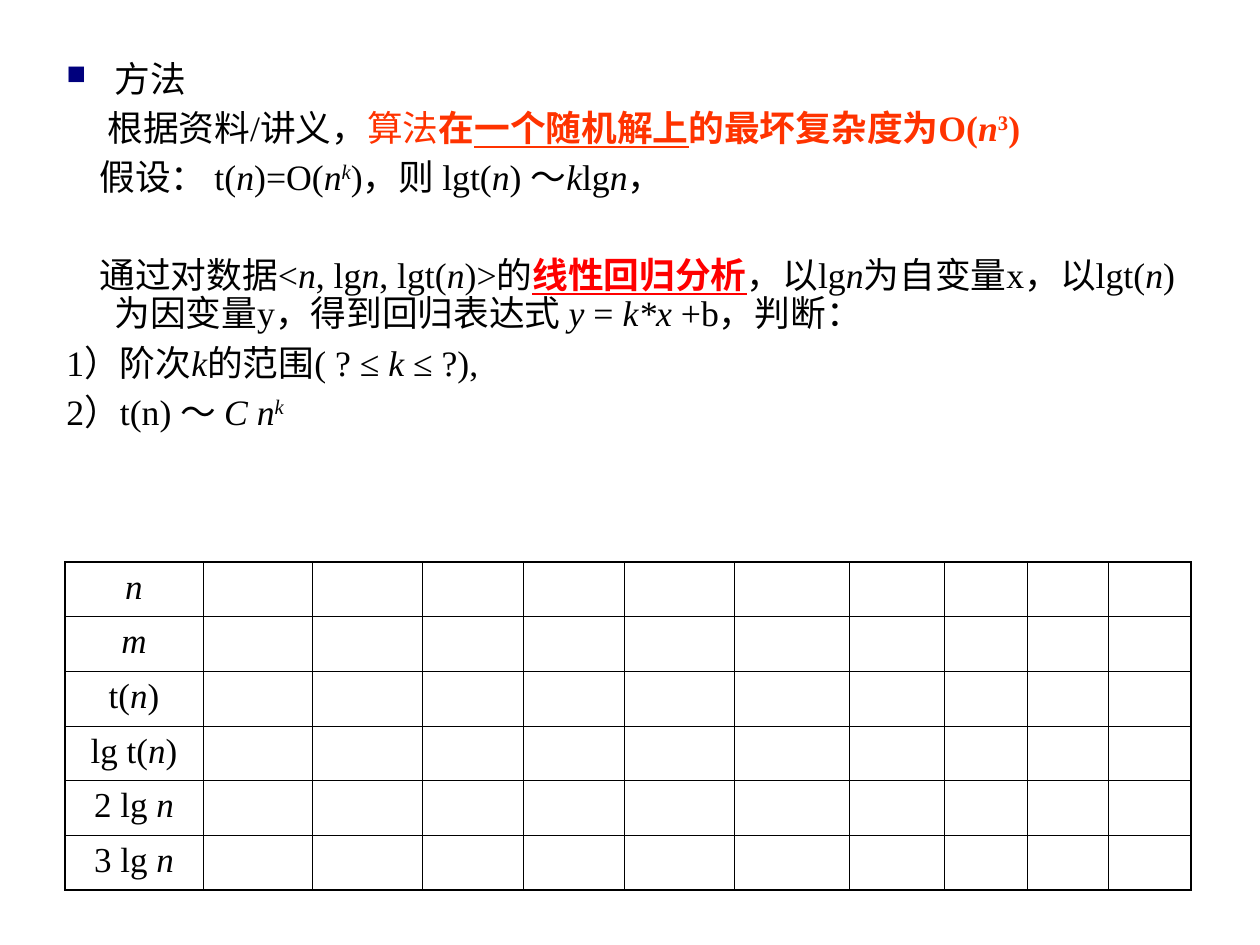
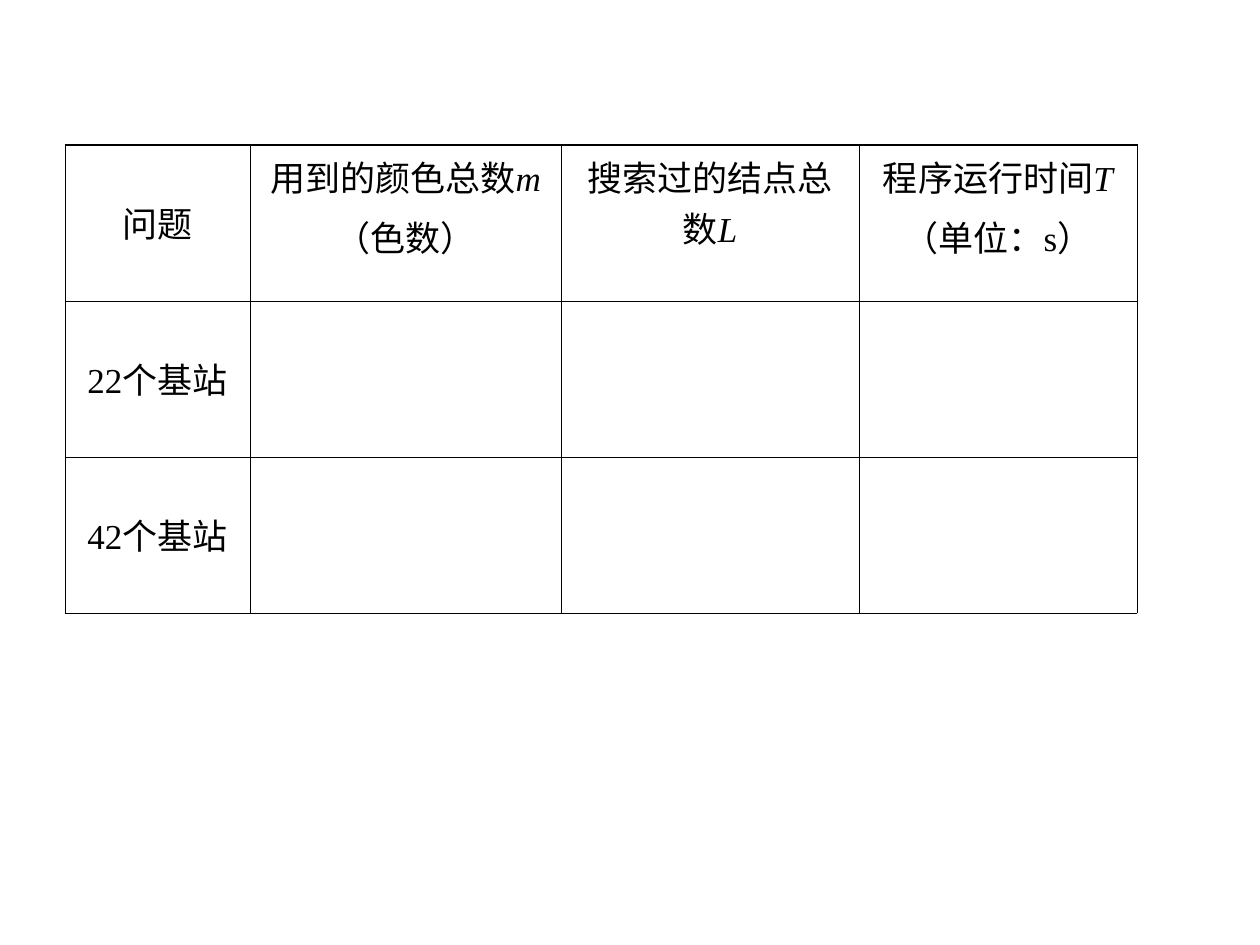
"""Build two slides: a regression method with its data table, and a results table."""
from lxml import etree
from pptx import Presentation
from pptx import util as u
from pptx.dml.color import RGBColor
from pptx.enum import text
from pptx.oxml.ns import qn

FONT = "Times New Roman"
BLACK, ORANGE, RED, NAVY = "000000", "FF3300", "FF0000", "00007D"
THIN, THICK = 0.45, 1.08
BODY_SIZE, CELL_SIZE = 20.4, 20
HANG = 48
TABLE_LEFT = 65
CELL_INSET, LABEL_INSET = 6, 52

# Run styles: i italic, b bold, u underlined, ^ superscript, o orange, r red.
# Paragraphs: first-line start in px, space before in points, runs.
METHOD = [
    (0, 0, [("方法", "")]),
    (41, 6, [("根据资料/讲义，", ""), ("算法", "o"), ("在", "ob"), ("一个随机解上", "obu"),
             ("的最坏复杂度为O(", "ob"), ("n", "obi"), ("3", "ob^"), (")", "ob")]),
    (33, 6, [("假设： t(", ""), ("n", "i"), (")=O(", ""), ("n", "i"), ("k", "i^"),
             (")，则 lgt(", ""), ("n", "i"), (") ～", ""), ("k", "i"), ("lg", ""),
             ("n", "i"), ("，", "")]),
    (33, 34, [("通过对数据<", ""), ("n", "i"), (", lg", ""), ("n", "i"), (", lgt(", ""),
              ("n", "i"), (")>的", ""), ("线性回归分析", "rbu"), ("，以lg", ""), ("n", "i"),
              ("为自变量x，以lgt(", ""), ("n", "i"), (")为因变量y，得到回归表达式 ", ""),
              ("y ", "i"), ("= ", ""), ("k*x", "i"), (" +b，判断：", "")]),
    (0, 6, [("1）阶次", ""), ("k", "i"), ("的范围( ? ≤ ", ""), ("k", "i"), (" ≤ ?),", "")]),
    (0, 6, [("2）t(n) ～ ", ""), ("C n", "i"), ("k", "i^")]),
]

DATA_COLUMNS = [138, 109, 110, 101, 101, 110, 115, 95, 83, 82, 82]
DATA_LABELS = [
    [("n", "i")],
    [("m", "i")],
    [("t(", ""), ("n", "i"), (")", "")],
    [("lg t(", ""), ("n", "i"), (")", "")],
    [("2 lg ", ""), ("n", "i")],
    [("3 lg ", ""), ("n", "i")],
]

RESULT_COLUMNS = [185, 311, 298, 278]
RESULT_HEADS = [
    [[("用到的颜色总数", ""), ("m", "i")], [("（色数）", "")]],
    [[("搜索过的结点总数", ""), ("L", "i")]],
    [[("程序运行时间", ""), ("T", "i")], [("（单位：s）", "")]],
]
RESULT_LABELS = ["问题", "22个基站", "42个基站"]


def px(length):
    return u.Emu(round(length * 914400 / 126))


def color(value):
    return RGBColor.from_string(value)


def add_child(parent, tag, **attributes):
    return etree.SubElement(parent, qn(tag), attributes)


def write_runs(para, runs, size):
    for words, style in runs:
        span = para.add_run()
        span.text = words
        font = span.font
        font.name, font.size = FONT, u.Pt(size)
        font.bold, font.italic, font.underline = "b" in style, "i" in style, "u" in style
        font.color.rgb = color(ORANGE if "o" in style else RED if "r" in style else BLACK)
        if "^" in style:
            span._r.get_or_add_rPr().set("baseline", "30000")


def add_bullet(para):
    props = para._p.get_or_add_pPr()
    add_child(add_child(props, "a:buClr"), "a:srgbClr", val=NAVY)
    add_child(props, "a:buSzPct", val="75000")
    add_child(props, "a:buChar", char="■")


def add_method(page):
    box = page.shapes.add_textbox(px(54), px(55), px(1160), px(427))
    frame = box.text_frame
    frame.word_wrap = True
    for index, (start, before, runs) in enumerate(METHOD):
        para = frame.paragraphs[0] if index == 0 else frame.add_paragraph()
        props = para._p.get_or_add_pPr()
        props.set("marL", str(px(HANG)))
        props.set("indent", str(px(start - HANG)))
        if index == 0:
            add_bullet(para)
        para.line_spacing = 0.9
        para.space_before = u.Pt(before)
        write_runs(para, runs, BODY_SIZE)


def set_borders(cell, thick_sides):
    props = cell._tc.get_or_add_tcPr()
    for side in "LRTB":
        width = u.Pt(THICK if side in thick_sides else THIN)
        line = add_child(props, f"a:ln{side}", w=str(width))
        add_child(add_child(line, "a:solidFill"), "a:srgbClr", val=BLACK)
    cell.fill.background()


def add_grid(page, top, columns, row_count, row_height, thick_edges):
    grid = page.shapes.add_table(row_count, len(columns), px(TABLE_LEFT), px(top),
                                 px(sum(columns)), px(row_count * row_height)).table
    grid.first_row = grid.horz_banding = False
    for column, width in zip(grid.columns, columns):
        column.width = px(width)
    for r, row in enumerate(grid.rows):
        row.height = px(row_height)
        for c, cell in enumerate(row.cells):
            at_edge = {"L": c == 0, "R": c == len(columns) - 1,
                       "T": r == 0, "B": r == row_count - 1}
            set_borders(cell, [side for side in thick_edges if at_edge[side]])
    return grid


def write_cell(cell, paragraphs, inset=CELL_INSET):
    cell.margin_top = px(inset)
    frame = cell.text_frame
    for index, runs in enumerate(paragraphs):
        para = frame.paragraphs[0] if index == 0 else frame.add_paragraph()
        para.alignment = text.PP_ALIGN.CENTER
        para.space_before = u.Pt(5 if index else 0)
        write_runs(para, runs, CELL_SIZE)


def main():
    deck = Presentation()
    deck.slide_width, deck.slide_height = px(1260), px(945)
    method_page, result_page = (deck.slides.add_slide(deck.slide_layouts[6]) for _ in range(2))

    add_method(method_page)
    data = add_grid(method_page, 562, DATA_COLUMNS, len(DATA_LABELS), 328 / 6, "LRTB")
    for r, runs in enumerate(DATA_LABELS):
        write_cell(data.cell(r, 0), [runs])

    results = add_grid(result_page, 145, RESULT_COLUMNS, len(RESULT_LABELS), 156, "T")
    for c, paragraphs in enumerate(RESULT_HEADS, 1):
        write_cell(results.cell(0, c), paragraphs)
    for r, label in enumerate(RESULT_LABELS):
        write_cell(results.cell(r, 0), [[(label, "")]], LABEL_INSET)

    deck.save("out.pptx")


if __name__ == "__main__":
    main()
